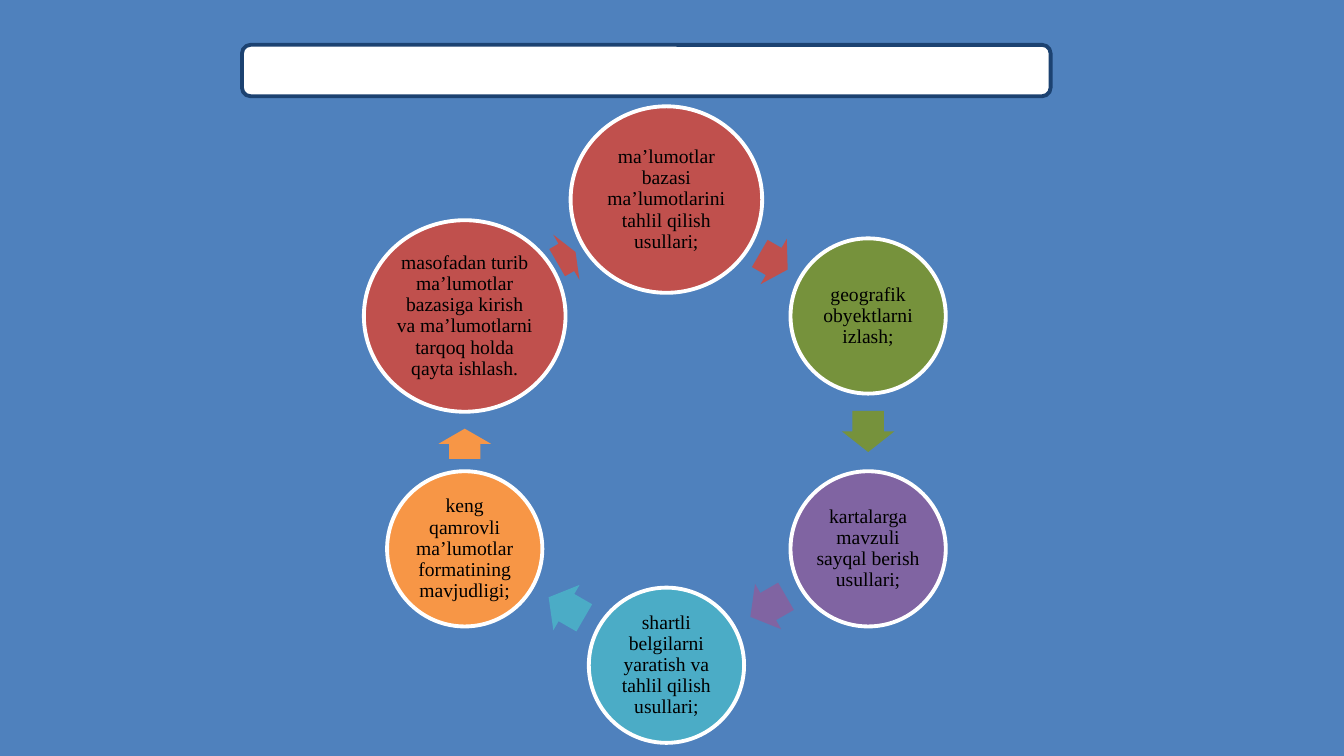
from dataclasses import dataclass
from itertools import pairwise
from math import atan2, cos, degrees, hypot, radians, sin

from pptx import Presentation
from pptx.dml.color import RGBColor
from pptx.enum.shapes import MSO_SHAPE as Preset
from pptx.enum.text import MSO_ANCHOR as Anchor, PP_ALIGN as Align
from pptx.shapes.autoshape import Shape
from pptx.slide import Slide
from pptx.util import Inches, Pt

CENTER_X, CENTER_Y, RADIUS = 6.61, 4.29, 2.31
ARROW_HEIGHT, ARROW_SHARE, ARROW_SHIFT = 0.52, 0.53, 0.01


@dataclass
class Step:
    text: str
    color: str
    angle: float
    width: float = 1.54
    height: float = 1.54

    @property
    def x(self) -> float:
        return CENTER_X + RADIUS * cos(radians(self.angle))

    @property
    def y(self) -> float:
        return CENTER_Y + RADIUS * sin(radians(self.angle))

    @property
    def reach(self) -> float:
        return (self.width + self.height) / 4


STEPS = [
    Step("ma’lumotlar bazasi ma’lumotlarini tahlil qilish usullari;", "C0504D", -90, 1.9, 1.85),
    Step("geografik obyektlarni izlash;", "76923C", -30),
    Step("kartalarga mavzuli sayqal berish usullari;", "8064A2", 30),
    Step("shartli belgilarni yaratish va tahlil qilish usullari;", "4BACC6", 90),
    Step("keng qamrovli ma’lumotlar formatining mavjudligi;", "F79646", 150),
    Step("masofadan turib ma’lumotlar bazasiga kirish va ma’lumotlarni tarqoq holda "
         "qayta ishlash.", "C0504D", 210, 2, 1.9),
]


def rgb(color: str) -> RGBColor:
    return RGBColor.from_string(color)


def add_centered(slide: Slide, preset: Preset, x: float, y: float, width: float,
                 height: float, fill: str, line: str | None = None) -> Shape:
    shape = slide.shapes.add_shape(preset, Inches(x - width / 2), Inches(y - height / 2),
                                   Inches(width), Inches(height))
    shape.shadow.inherit = False
    shape.fill.solid()
    shape.fill.fore_color.rgb = rgb(fill)
    if line:
        shape.line.color.rgb = rgb(line)
        shape.line.width = Pt(2.75)
    else:
        shape.line.fill.background()
    return shape


def add_step(slide: Slide, step: Step) -> None:
    circle = add_centered(slide, Preset.OVAL, step.x, step.y, step.width, step.height,
                          step.color, "FFFFFF")
    frame = circle.text_frame
    frame.text = step.text
    frame.word_wrap = True
    frame.vertical_anchor = Anchor.MIDDLE
    frame.margin_left = frame.margin_right = Inches(0.02)
    frame.margin_top = frame.margin_bottom = Inches(0.02)
    paragraph = frame.paragraphs[0]
    paragraph.alignment = Align.CENTER
    paragraph.line_spacing = 0.9
    font = paragraph.runs[0].font
    font.name, font.size = "Times New Roman", Pt(14)
    font.color.rgb = rgb("000000")


def add_arrow(slide: Slide, start: Step, end: Step) -> None:
    dx, dy = end.x - start.x, end.y - start.y
    distance = hypot(dx, dy)
    gap = distance - start.reach - end.reach
    position = (start.reach + gap / 2 - ARROW_SHIFT) / distance
    arrow = add_centered(slide, Preset.RIGHT_ARROW, start.x + dx * position,
                         start.y + dy * position, gap * ARROW_SHARE, ARROW_HEIGHT, start.color)
    arrow.adjustments[0], arrow.adjustments[1] = 0.6, 0.5
    arrow.rotation = round(degrees(atan2(dy, dx))) % 360


def main() -> None:
    """Build the slide with the cycle of six functions."""
    deck = Presentation()
    deck.slide_width, deck.slide_height = Inches(13.33), Inches(7.5)
    slide = deck.slides.add_slide(deck.slide_layouts[6])
    slide.background.fill.solid()
    slide.background.fill.fore_color.rgb = rgb("4F81BD")

    add_centered(slide, Preset.ROUNDED_RECTANGLE, 6.41, 0.7, 8.02, 0.51, "FFFFFF", "1C4271")
    for step, following in pairwise(STEPS + STEPS[:1]):
        add_step(slide, step)
        add_arrow(slide, step, following)
    deck.save("out.pptx")


if __name__ == "__main__":
    main()
